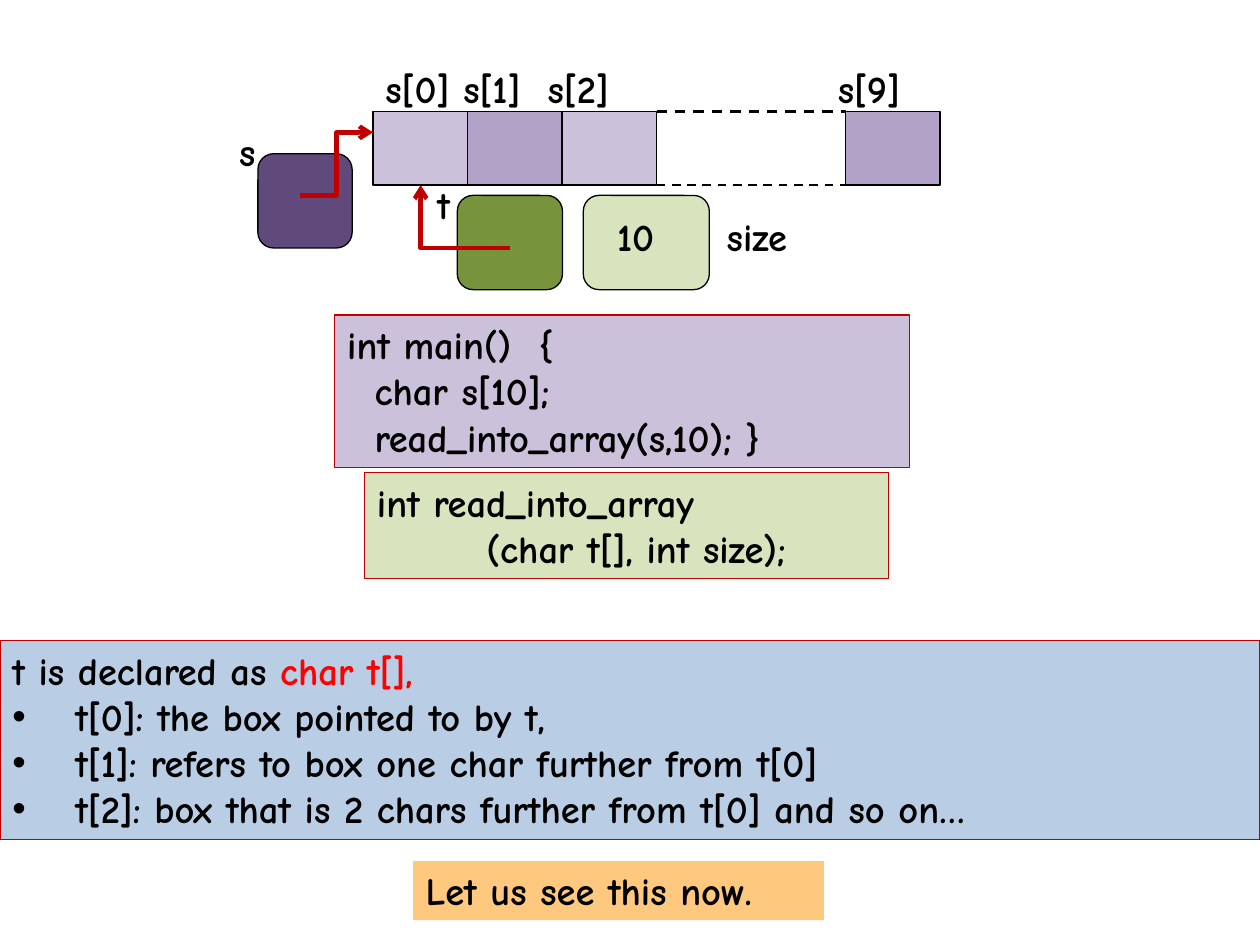
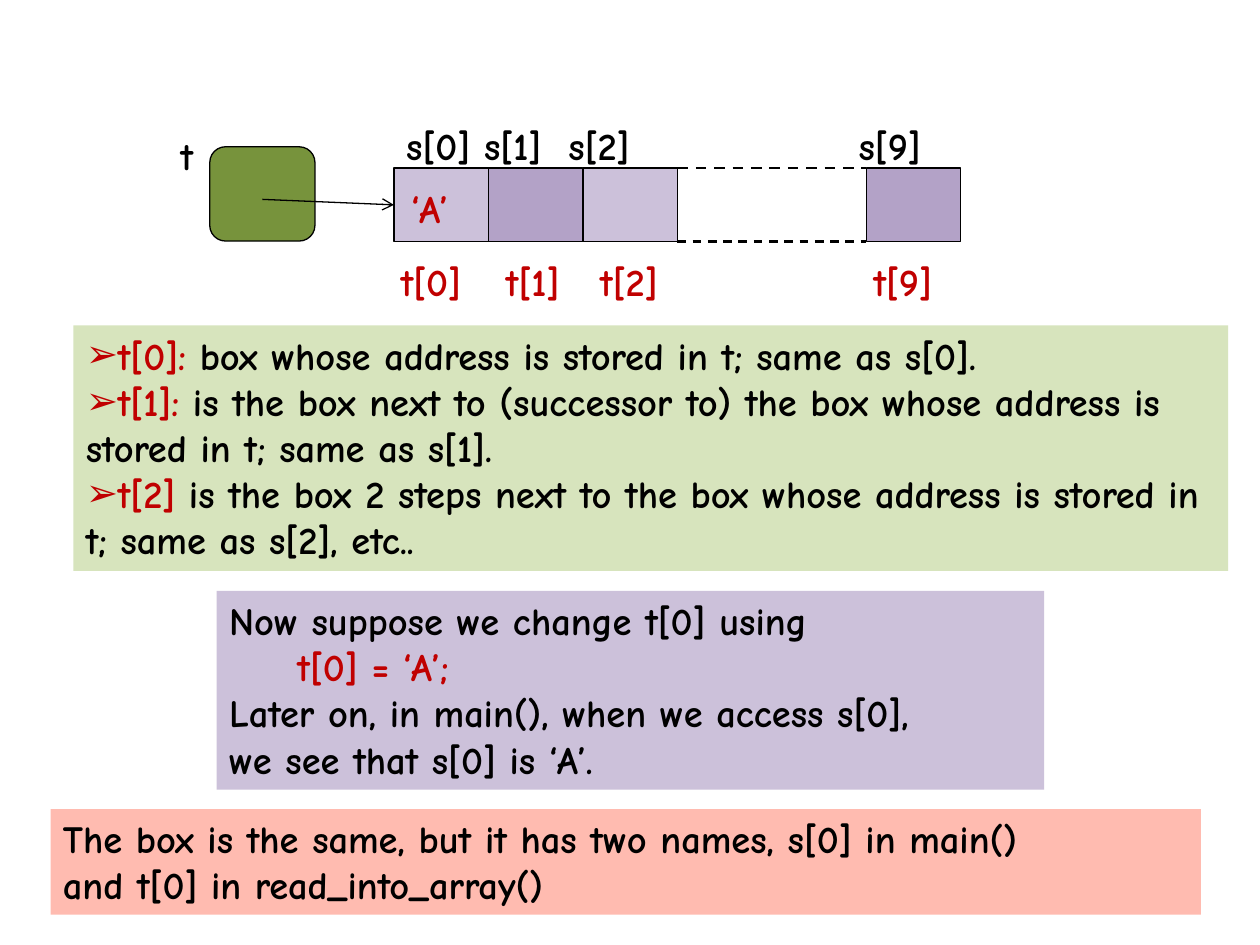
from lxml.etree import SubElement
from pptx import Presentation
from pptx.dml.color import RGBColor
from pptx.enum.dml import MSO_LINE_DASH_STYLE as Dash
from pptx.enum.shapes import MSO_CONNECTOR as Connector, MSO_SHAPE as Shape
from pptx.enum.text import MSO_ANCHOR as Anchor, PP_ALIGN as Align
from pptx.oxml.ns import qn
from pptx.util import Cm, Pt

FONT = "Comic Neue"
FONT_SIZE = Pt(22)

BLACK = RGBColor(0x00, 0x00, 0x00)
RED = RGBColor(0xFF, 0x00, 0x00)
DARK_RED = RGBColor(0xC0, 0x00, 0x00)
LILAC = RGBColor(0xCC, 0xC1, 0xDA)
VIOLET = RGBColor(0xB3, 0xA2, 0xC7)
DARK_VIOLET = RGBColor(0x60, 0x4A, 0x7B)
GREEN = RGBColor(0x77, 0x93, 0x3C)
LIGHT_GREEN = RGBColor(0xD7, 0xE4, 0xBD)
LIGHT_BLUE = RGBColor(0xB9, 0xCD, 0xE5)
ORANGE = RGBColor(0xFE, 0xC8, 0x7F)
PINK = RGBColor(0xFF, 0xBB, 0xB0)

# Sizes in centimetres
CELL_WIDTH = 7.62 / 4
CELL_HEIGHT = 1.48
LABEL_HEIGHT = 1.19
LABEL_RISE = 1.06
POINTER_WIDTH = 2.12
POINTER_HEIGHT = 1.9


def write_text(frame, paragraphs, color=BLACK, bullet=None, bullet_color=None,
               indent=0, first_bullet=0, tabs=()):
    """Each paragraph is a string or a list of (text, color) runs."""
    frame.word_wrap = True
    frame.vertical_anchor = Anchor.TOP
    for index, content in enumerate(paragraphs):
        paragraph = frame.paragraphs[0] if index == 0 else frame.add_paragraph()
        paragraph.alignment = Align.LEFT
        properties = paragraph._p.get_or_add_pPr()
        if bullet and index >= first_bullet:
            properties.set("marL", str(Cm(indent)))
            properties.set("indent", str(-Cm(indent)))
            if bullet_color:
                color_element = SubElement(properties, qn("a:buClr"))
                SubElement(color_element, qn("a:srgbClr"), val=str(bullet_color))
            SubElement(properties, qn("a:buFont"), typeface="Arial")
            SubElement(properties, qn("a:buChar"), char=bullet)
        if tabs:
            tab_list = SubElement(properties, qn("a:tabLst"))
            for position in tabs:
                SubElement(tab_list, qn("a:tab"), pos=str(Cm(position)), algn="l")
        runs = [(content, color)] if isinstance(content, str) else content
        for text, run_color in runs:
            run = paragraph.add_run()
            run.text = text
            run.font.name = FONT
            run.font.size = FONT_SIZE
            run.font.bold = True
            run.font.color.rgb = run_color


class Deck:
    def __init__(self):
        self.presentation = Presentation()
        self.presentation.slide_width = Cm(25.4)
        self.presentation.slide_height = Cm(19.05)
        self.slide = None

    def new_slide(self):
        layout = self.presentation.slide_layouts[6]
        self.slide = self.presentation.slides.add_slide(layout)

    def box(self, left, top, width, height, fill, line=None, kind=Shape.RECTANGLE,
            paragraphs=(), **text_format):
        shape = self.slide.shapes.add_shape(
            kind, Cm(left), Cm(top), Cm(width), Cm(height))
        shape.shadow.inherit = False
        shape.fill.solid()
        shape.fill.fore_color.rgb = fill
        if line is None:
            shape.line.fill.background()
        else:
            shape.line.color.rgb = line
            shape.line.width = Pt(0.75)
        if paragraphs:
            write_text(shape.text_frame, paragraphs, **text_format)
        return shape

    def variable(self, left, top, fill, width=POINTER_WIDTH):
        return self.box(left, top, width, POINTER_HEIGHT, fill, BLACK,
                        Shape.ROUNDED_RECTANGLE)

    def label(self, text, left, top, width=1.96, **text_format):
        shape = self.slide.shapes.add_textbox(
            Cm(left), Cm(top), Cm(width), Cm(LABEL_HEIGHT))
        write_text(shape.text_frame, [text], **text_format)

    def connector(self, start, end, color=BLACK, width=0.75,
                  kind=Connector.STRAIGHT, dashed=False, arrow=None):
        """arrow is "headEnd" for the start or "tailEnd" for the end."""
        connector = self.slide.shapes.add_connector(
            kind, *(Cm(value) for value in (*start, *end)))
        connector.line.color.rgb = color
        connector.line.width = Pt(width)
        if dashed:
            connector.line.dash_style = Dash.DASH
        properties = connector.element.spPr
        if arrow:
            SubElement(properties.find(qn("a:ln")), qn("a:" + arrow), type="arrow")
        SubElement(properties, qn("a:effectLst"))
        return connector

    def corner_arrow(self, start, end):
        """Runs level from the lower right, then up to its end."""
        connector = self.connector(end, start, DARK_RED, 2.5, Connector.ELBOW,
                                   arrow="tailEnd")
        properties = connector.element.spPr
        properties.find(qn("a:xfrm")).set("rot", str(180 * 60000))
        properties.find(qn("a:prstGeom")).set("prst", "bentConnector2")

    def array(self, left, top):
        """Draws s[0] to s[9] with a dashed gap, and returns the first cell."""
        cells = [self.box(left + column * CELL_WIDTH, top, CELL_WIDTH, CELL_HEIGHT,
                          fill, BLACK)
                 for column, fill in ((0, LILAC), (1, VIOLET), (2, LILAC), (5, VIOLET))]
        gap_left, gap_right = left + 3 * CELL_WIDTH, left + 5 * CELL_WIDTH
        for y, width in ((top, 1.5), (top + CELL_HEIGHT, 1.25)):
            self.connector((gap_left, y), (gap_right, y), width=width, dashed=True)
        self.label("s[0]\ts[1]\ts[2]", left, top - LABEL_RISE, 6.55, tabs=(1.57, 3.27))
        self.label("s[9]", left + 9.12, top - LABEL_RISE)
        return cells[0]

    def save(self):
        self.presentation.save("out.pptx")


def array_parameter_slide(deck):
    deck.new_slide()

    # Array and the variables of both functions
    deck.array(7.52, 2.25)
    deck.variable(5.2, 3.1, DARK_VIOLET, width=1.9)
    deck.label("s", 4.57, 2.46, 0.89)
    deck.connector((6.05, 3.94), (7.52, 2.67), DARK_RED, 2.5, Connector.ELBOW,
                   arrow="tailEnd")
    deck.label("t", 8.57, 3.53, 0.89)
    deck.variable(9.22, 3.94, GREEN)
    deck.label("size", 14.4, 4.17, 2.31)
    deck.variable(11.76, 3.94, LIGHT_GREEN, width=2.54)
    deck.corner_arrow((10.28, 5), (8.48, 3.73))
    deck.label("10", 12.19, 4.17, 1.47)

    # Code
    deck.box(6.75, 6.35, 11.59, 3.07, LILAC, DARK_RED, paragraphs=[
        "int main()  {",
        "  char s[10];",
        "  read_into_array(s,10); }"])
    deck.box(7.35, 9.53, 10.56, 2.13, LIGHT_GREEN, DARK_RED, paragraphs=[
        "int read_into_array",
        "        (char t[], int size);"])

    # Explanation
    deck.box(0, 12.91, 25.4, 4.01, LIGHT_BLUE, DARK_RED, paragraphs=[
        [("t is declared as ", BLACK), ("char t[],", RED)],
        "t[0]: the box pointed to by t,",
        "t[1]: refers to box one char further from t[0]",
        "t[2]: box that is 2 chars further from t[0] and so on…"],
        bullet="•", indent=1.27, first_bullet=1)
    deck.box(8.33, 17.36, 8.28, LABEL_HEIGHT, ORANGE,
             paragraphs=["Let us see this now."])


def two_names_slide(deck):
    deck.new_slide()

    # Meaning of t[0], t[1], t[2]
    meanings = (
        ("t[0]: ", "box whose address is stored in t; same as s[0]."),
        ("t[1]: ", "is the box next to (successor to) the box whose address is "
                   "stored in t; same as s[1]."),
        ("t[2]", " is the box 2 steps next to the box whose address is stored in "
                 "t; same as s[2], etc.."))
    deck.box(1.48, 6.56, 23.28, 4.95, LIGHT_GREEN, paragraphs=[
        [(name, DARK_RED), (meaning, BLACK)] for name, meaning in meanings],
        bullet="➢", bullet_color=DARK_RED)

    # Assignment through t
    deck.box(4.37, 11.91, 16.68, 4.01, LILAC, paragraphs=[
        "Now suppose we change t[0] using",
        [("     t[0] = ‘A’;", DARK_RED)],
        "Later on, in main(), when we access s[0],",
        "we see that s[0] is ‘A’."])

    # Array with its second set of names
    for index, left in ((0, 7.83), (1, 9.95), (2, 11.85), (9, 17.36)):
        deck.label(f"t[{index}]", left, 5.08, color=DARK_RED)
    first_cell = deck.array(7.94, 3.39)
    deck.label("t", 3.39, 2.54, 0.89)
    deck.variable(4.23, 2.96, GREEN)
    pointer = deck.connector((5.29, 4.02), (7.94, 4.13), arrow="tailEnd")
    pointer.end_connect(first_cell, 1)
    deck.label("‘A’", 8.04, 3.6, 1.47, color=DARK_RED)

    # Conclusion
    deck.box(1.02, 16.31, 23.19, 2.13, PINK, paragraphs=[
        "The box is the same, but it has two names, s[0] in main()",
        "and t[0] in read_into_array()"])


def main():
    deck = Deck()
    array_parameter_slide(deck)
    two_names_slide(deck)
    deck.save()


if __name__ == "__main__":
    main()
